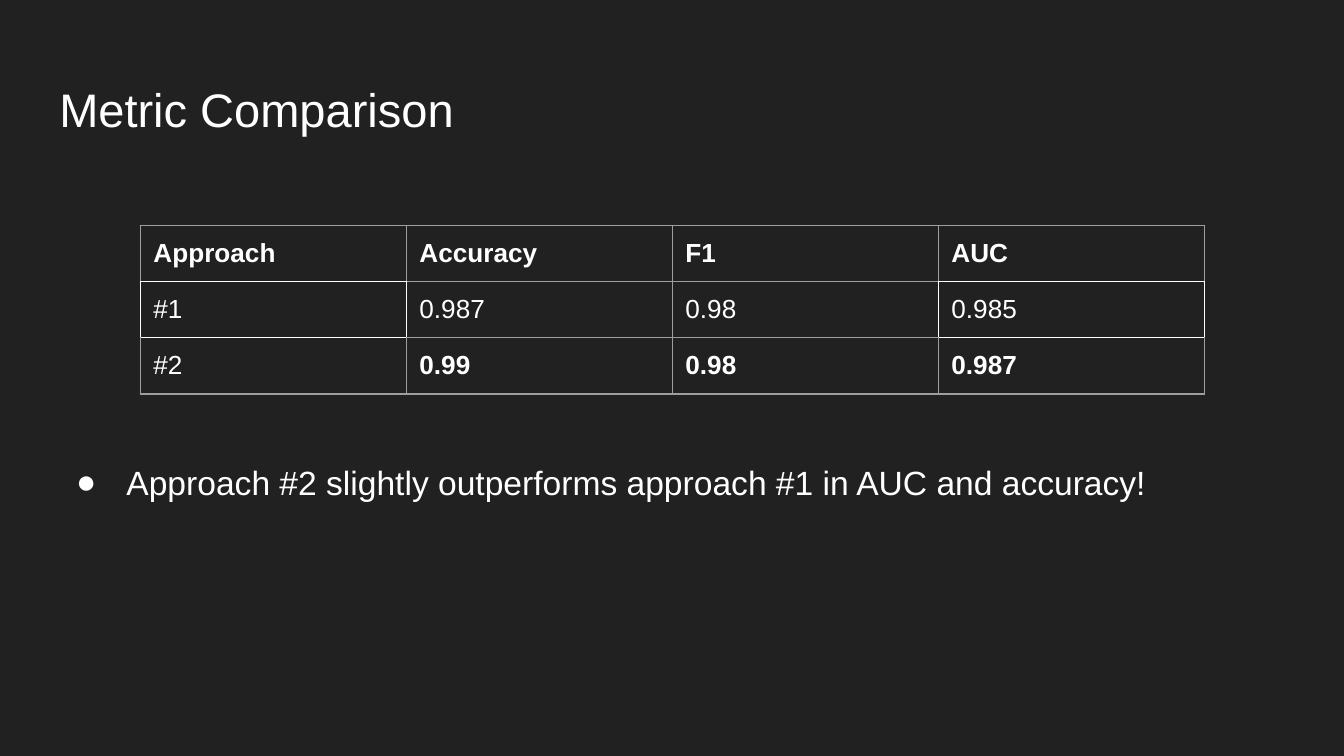
from lxml.etree import SubElement
from pptx import Presentation
from pptx.dml.color import RGBColor
from pptx.enum.text import MSO_ANCHOR, PP_ALIGN
from pptx.oxml.ns import qn
from pptx.util import Cm, Pt

BACKGROUND, WHITE, GREY = "212121", "FFFFFF", "9E9E9E"
INSET = Cm(0.25)
MARGINS = {f"margin_{side}": INSET for side in ("left", "top", "right", "bottom")}
METRICS = [
    ["Approach", "Accuracy", "F1", "AUC"],
    ["#1", "0.987", "0.98", "0.985"],
    ["#2", "0.99", "0.98", "0.987"],
]
HIGHLIGHTED = {(1, 0), (1, 3)}  # cells outlined in white
NEIGHBOURS = {"lnL": (0, -1), "lnR": (0, 1), "lnT": (-1, 0), "lnB": (1, 0)}


def color(value):
    return RGBColor.from_string(value)


def set_attrs(obj, values):
    for name, value in values.items():
        setattr(obj, name, value)


def format_font(font, size, bold=False):
    set_attrs(font, {"name": "Arial", "size": Pt(size), "bold": bold})
    font.color.rgb = color(WHITE)


def add_title(s, text, left, top, width, height):
    sp = s.shapes.title
    set_attrs(sp, {"left": left, "top": top, "width": width, "height": height})
    tf = sp.text_frame
    set_attrs(tf, {"vertical_anchor": MSO_ANCHOR.BOTTOM, "word_wrap": True, **MARGINS})
    p = tf.paragraphs[0]
    p.alignment = PP_ALIGN.LEFT
    r = p.add_run()
    r.text = text
    format_font(r.font, 25.2)


def set_borders(cell, row, col):
    """Draw an edge in white where it touches a highlighted cell."""
    tc_pr = cell._tc.get_or_add_tcPr()
    for index, (tag, (d_row, d_col)) in enumerate(NEIGHBOURS.items()):
        touching = {(row, col), (row + d_row, col + d_col)}
        ln = tc_pr.makeelement(qn(f"a:{tag}"), {"w": str(Pt(0.75))})
        fill = SubElement(ln, qn("a:solidFill"))
        SubElement(fill, qn("a:srgbClr"), val=WHITE if touching & HIGHLIGHTED else GREY)
        tc_pr.insert(index, ln)


def add_metric_table(s, rows, left, top, width, height):
    n_rows, n_cols = len(rows), len(rows[0])
    table = s.shapes.add_table(n_rows, n_cols, left, top, width, height).table
    set_attrs(table, {"first_row": False, "horz_banding": False})
    for column in table.columns:
        column.width = width // n_cols
    for i, values in enumerate(rows):
        table.rows[i].height = height // n_rows
        for j, value in enumerate(values):
            cell = table.cell(i, j)
            set_attrs(cell, MARGINS)
            cell.fill.background()
            set_borders(cell, i, j)
            r = cell.text_frame.paragraphs[0].add_run()
            r.text = value
            # Headings and the best scores are bold
            format_font(r.font, 14, bold=i == 0 or (i == 2 and j > 0))


def add_takeaway(s, text, left, top, width, height):
    tf = s.shapes.add_textbox(left, top, width, height).text_frame
    set_attrs(tf, {"word_wrap": True, **MARGINS})
    p = tf.paragraphs[0]
    # Bullet with a hanging indent
    p_pr = p._p.get_or_add_pPr()
    p_pr.set("marL", str(Cm(1.27)))
    p_pr.set("indent", str(-Cm(0.95)))
    SubElement(SubElement(p_pr, qn("a:buClr")), qn("a:srgbClr"), val=WHITE)
    SubElement(p_pr, qn("a:buFont"), typeface="Arial")
    SubElement(p_pr, qn("a:buChar"), char="●")
    p.line_spacing = 1.15
    r = p.add_run()
    r.text = text
    format_font(r.font, 18)


def main():
    prs = Presentation()
    set_attrs(prs, {"slide_width": Cm(25.4), "slide_height": Cm(14.29)})
    s = prs.slides.add_slide(prs.slide_layouts[5])
    s.background.fill.solid()
    s.background.fill.fore_color.rgb = color(BACKGROUND)

    left, width = Cm(0.87), Cm(23.67)
    add_title(s, "Metric Comparison", left, Cm(1.24), width, Cm(1.6))
    add_metric_table(s, METRICS, Cm(2.65), Cm(4.26), Cm(20.11), Cm(3.19))
    add_takeaway(s, "Approach #2 slightly outperforms approach #1 in AUC and accuracy!",
                 left, Cm(8.36), width, Cm(4.34))
    prs.save("out.pptx")


if __name__ == "__main__":
    main()
